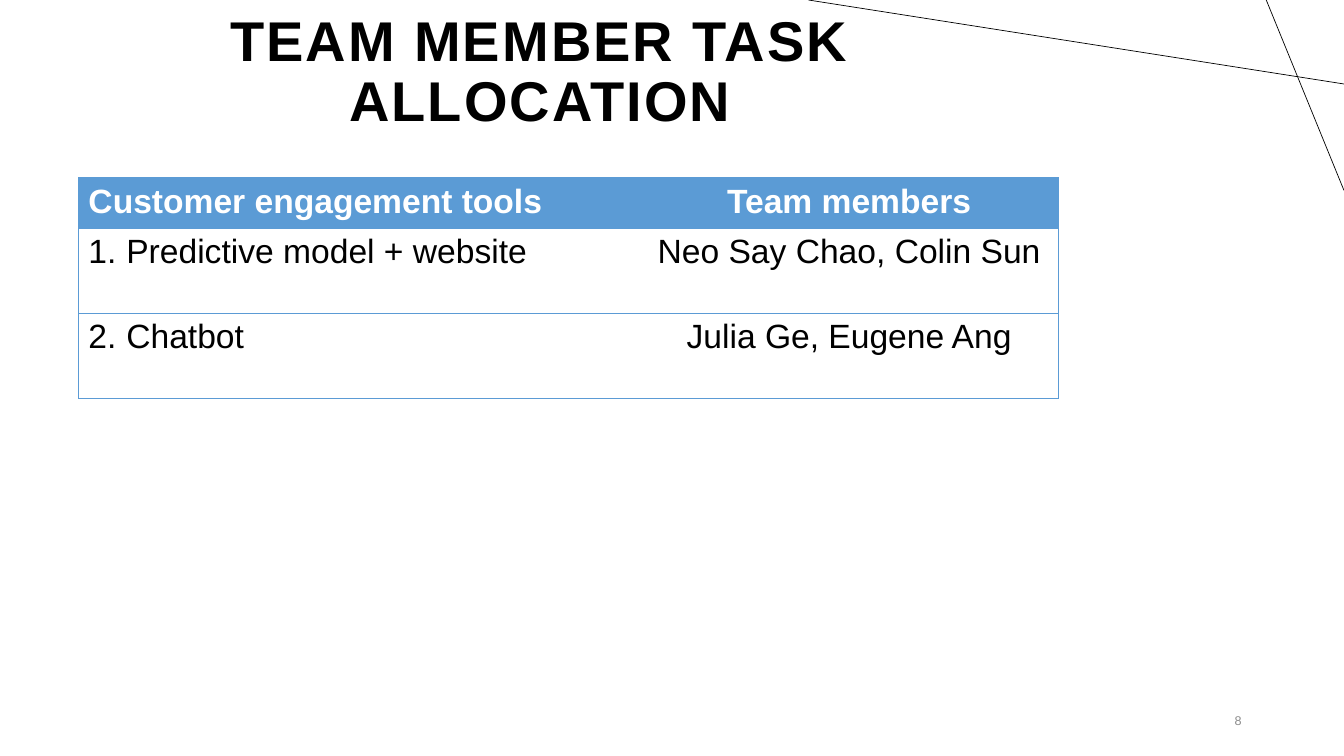
from lxml import etree
from pptx import Presentation
from pptx.dml.color import RGBColor
from pptx.enum import shapes, text
from pptx.oxml.ns import qn
from pptx.util import Pt

TITLE = "TEAM MEMBER TASK ALLOCATION"
PAGE = "8"
HEADER = ("Customer engagement tools", "Team members")
TASKS = [
    ("Predictive model + website", "Neo Say Chao, Colin Sun"),
    ("Chatbot", "Julia Ge, Eugene Ang"),
]
CORNER_LINES = [(960, 60, 577.5, 0), (904.5, 0, 960, 136)]
COL_WIDTHS = (401, 299)
HEADER_H, TASK_H = 33.5, 60.75
BLUE, BLACK, WHITE, GREY = "5B9BD5", "000000", "FFFFFF", "8C8C8C"
LEFT, CENTER, RIGHT = text.PP_ALIGN.LEFT, text.PP_ALIGN.CENTER, text.PP_ALIGN.RIGHT


def rgb(value):
    return RGBColor.from_string(value)


def write(tf, words, size=24, color=BLACK, bold=False, align=LEFT, spc=None, number=None):
    p = tf.paragraphs[0]
    p.alignment = align
    if number:
        pPr = p._p.get_or_add_pPr()
        pPr.set("marL", str(Pt(27)))
        pPr.set("indent", str(-Pt(27)))
        etree.SubElement(pPr, qn("a:buFont"), typeface="+mj-lt")
        etree.SubElement(pPr, qn("a:buAutoNum"), type="arabicPeriod", startAt=str(number))
    r = p.add_run()
    r.text = words
    r.font.name, r.font.size, r.font.bold = "Arial", Pt(size), bold
    r.font.color.rgb = rgb(color)
    if spc:
        r._r.get_or_add_rPr().set("spc", str(int(spc * 100)))
    return p


def set_borders(cell, sides):
    tcPr = cell._tc.get_or_add_tcPr()
    for side in "LRTB":
        ln = etree.SubElement(tcPr, qn("a:ln" + side), w=str(Pt(0.5)))
        if side in sides:
            fill = etree.SubElement(ln, qn("a:solidFill"))
            etree.SubElement(fill, qn("a:srgbClr"), val=BLUE)
        else:
            etree.SubElement(ln, qn("a:noFill"))


prs = Presentation()
prs.slide_width, prs.slide_height = Pt(960), Pt(540)
s = prs.slides.add_slide(prs.slide_layouts[5])

# Corner lines
for ends in CORNER_LINES:
    line = s.shapes.add_connector(shapes.MSO_CONNECTOR.STRAIGHT, *map(Pt, ends))
    line.line.color.rgb = rgb(BLACK)
    line.line.width = Pt(0.5)
    etree.SubElement(line._element.spPr, qn("a:effectLst"))

# Title
title = s.shapes.title
title.left, title.top, title.width, title.height = Pt(36.5), Pt(0), Pt(698.5), Pt(104.5)
tf = title.text_frame
tf.word_wrap = True
tf.auto_size = text.MSO_AUTO_SIZE.NONE
tf.vertical_anchor = text.MSO_ANCHOR.MIDDLE
write(tf, TITLE, size=40, bold=True, align=CENTER, spc=1.5).line_spacing = 0.9

# Slide number
sp = s.shapes.add_textbox(Pt(678), Pt(500.5), Pt(216), Pt(28.75))
tf = sp.text_frame
tf.word_wrap = True
tf.vertical_anchor = text.MSO_ANCHOR.MIDDLE
write(tf, PAGE, size=9, color=GREY, align=RIGHT)

# Task table
rows = [HEADER, *TASKS]
table = s.shapes.add_table(len(rows), len(HEADER), Pt(56), Pt(127), Pt(sum(COL_WIDTHS)),
                           Pt(HEADER_H + TASK_H * len(TASKS))).table
table.horz_banding = False
for col, width in zip(table.columns, COL_WIDTHS):
    col.width = Pt(width)
for i, row in enumerate(rows):
    is_header = i == 0
    table.rows[i].height = Pt(HEADER_H if is_header else TASK_H)
    for j, words in enumerate(row):
        cell = table.cell(i, j)
        set_borders(cell, "LR"[j] + "TB")
        if is_header:
            cell.fill.solid()
            cell.fill.fore_color.rgb = rgb(BLUE)
        else:
            cell.fill.background()
        write(cell.text_frame, words, color=WHITE if is_header else BLACK, bold=is_header,
              align=CENTER if j else LEFT, number=None if j else i)

prs.save("out.pptx")
